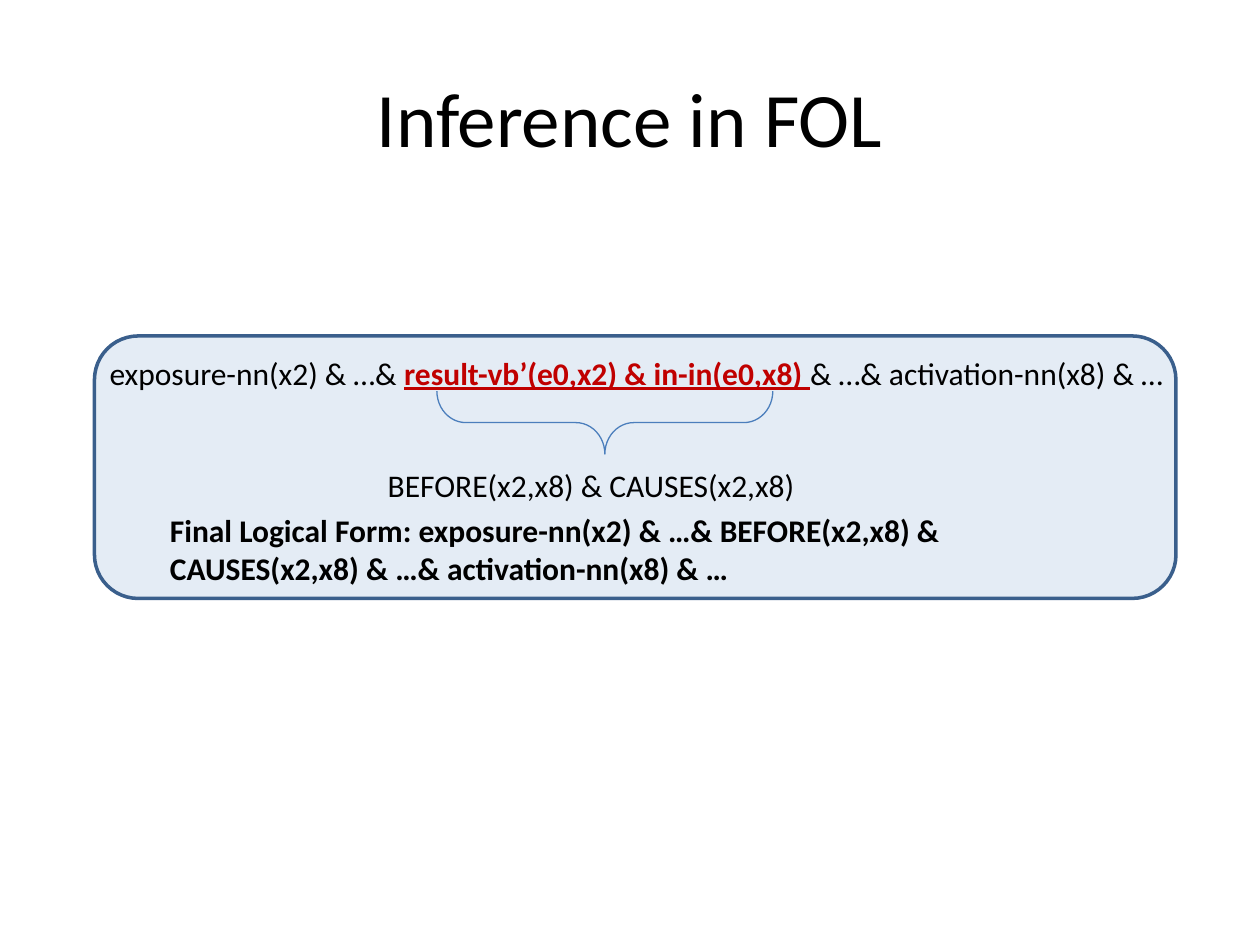
from dataclasses import dataclass

from lxml import etree
from pptx import Presentation
from pptx import util as u
from pptx.dml.color import RGBColor
from pptx.enum import shapes, text
from pptx.oxml.ns import qn


@dataclass(frozen=True)
class Theme:
    font: str = "Calibri"
    title_size: int = 44
    body_size: int = 18
    ink: str = "000000"
    highlight: str = "C00000"
    panel: str = "4F81BD"
    panel_opacity: int = 15
    panel_line: str = "3A5F8C"
    brace_line: str = "4B7EBC"


@dataclass(frozen=True)
class Area:
    column: float
    row: float
    columns: float
    rows: float


@dataclass(frozen=True)
class Piece:
    words: str
    bold: bool = False
    underline: bool = False
    color: str = Theme.ink


@dataclass(frozen=True)
class Label:
    area: Area
    lines: tuple[tuple[Piece, ...], ...]
    size: int = Theme.body_size
    align: text.PP_ALIGN = text.PP_ALIGN.LEFT
    anchor: text.MSO_ANCHOR = text.MSO_ANCHOR.TOP


THEME = Theme()
WIDTH, HEIGHT = u.Inches(10), u.Inches(7.5)
COLUMNS, ROWS = 120, 90

LABELS = (
    Label(Area(6, 3.6, 108, 15), ((Piece("Inference in FOL"),),),
          THEME.title_size, text.PP_ALIGN.CENTER, text.MSO_ANCHOR.MIDDLE),
    Label(Area(9.25, 33.1, 104, 4.85), ((
        Piece("exposure-nn(x2) & …& "),
        Piece("result-vb’(e0,x2) & in-in(e0,x8) ", True, True, THEME.highlight),
        Piece("& …& activation-nn(x8) & …"),
    ),)),
    Label(Area(35.75, 43.8, 42, 4.85), ((Piece("BEFORE(x2,x8) & CAUSES(x2,x8)"),),)),
    Label(Area(15, 48.1, 94, 8.4), (
        (Piece("Final Logical Form: exposure-nn(x2) & …& BEFORE(x2,x8) & ", True),),
        (Piece("CAUSES(x2,x8) & …& activation-nn(x8) & …", True),),
    )),
)


def place(area: Area) -> tuple[int, int, int, int]:
    return (
        round(WIDTH * area.column / COLUMNS),
        round(HEIGHT * area.row / ROWS),
        round(WIDTH * area.columns / COLUMNS),
        round(HEIGHT * area.rows / ROWS),
    )


def add_outline(slide, kind: shapes.MSO_SHAPE, area: Area, color: str, weight: float):
    shape = slide.shapes.add_shape(kind, *place(area))
    shape.shadow.inherit = False
    shape.line.color.rgb = RGBColor.from_string(color)
    shape.line.width = u.Pt(weight)
    return shape


def add_panel(slide) -> None:
    panel = add_outline(slide, shapes.MSO_SHAPE.ROUNDED_RECTANGLE,
                        Area(9, 32, 103, 25), THEME.panel_line, 2)
    panel.fill.solid()
    panel.fill.fore_color.rgb = RGBColor.from_string(THEME.panel)
    color = panel.fill._xPr.find(qn("a:solidFill"))[0]
    etree.SubElement(color, qn("a:alpha"), val=str(THEME.panel_opacity * 1000))


def add_brace(slide) -> None:
    brace = add_outline(slide, shapes.MSO_SHAPE.RIGHT_BRACE,
                        Area(54.6, 24.25, 6, 32), THEME.brace_line, 0.75)
    brace.fill.background()
    brace.rotation = 90
    brace.adjustments[0] = 0.46
    brace.adjustments[1] = 0.5


def add_label(slide, label: Label) -> None:
    frame = slide.shapes.add_textbox(*place(label.area)).text_frame
    frame.word_wrap = True
    frame.vertical_anchor = label.anchor
    paragraph = frame.paragraphs[0]
    paragraph.alignment = label.align
    for index, line in enumerate(label.lines):
        if index:
            paragraph.add_line_break()
        for piece in line:
            run = paragraph.add_run()
            run.text = piece.words
            run.font.name = THEME.font
            run.font.size = u.Pt(label.size)
            run.font.bold = piece.bold
            run.font.underline = piece.underline
            run.font.color.rgb = RGBColor.from_string(piece.color)


def main() -> None:
    presentation = Presentation()
    presentation.slide_width, presentation.slide_height = WIDTH, HEIGHT
    slide = presentation.slides.add_slide(presentation.slide_layouts[6])
    add_panel(slide)
    add_brace(slide)
    for label in LABELS:
        add_label(slide, label)
    presentation.save("out.pptx")


if __name__ == "__main__":
    main()
